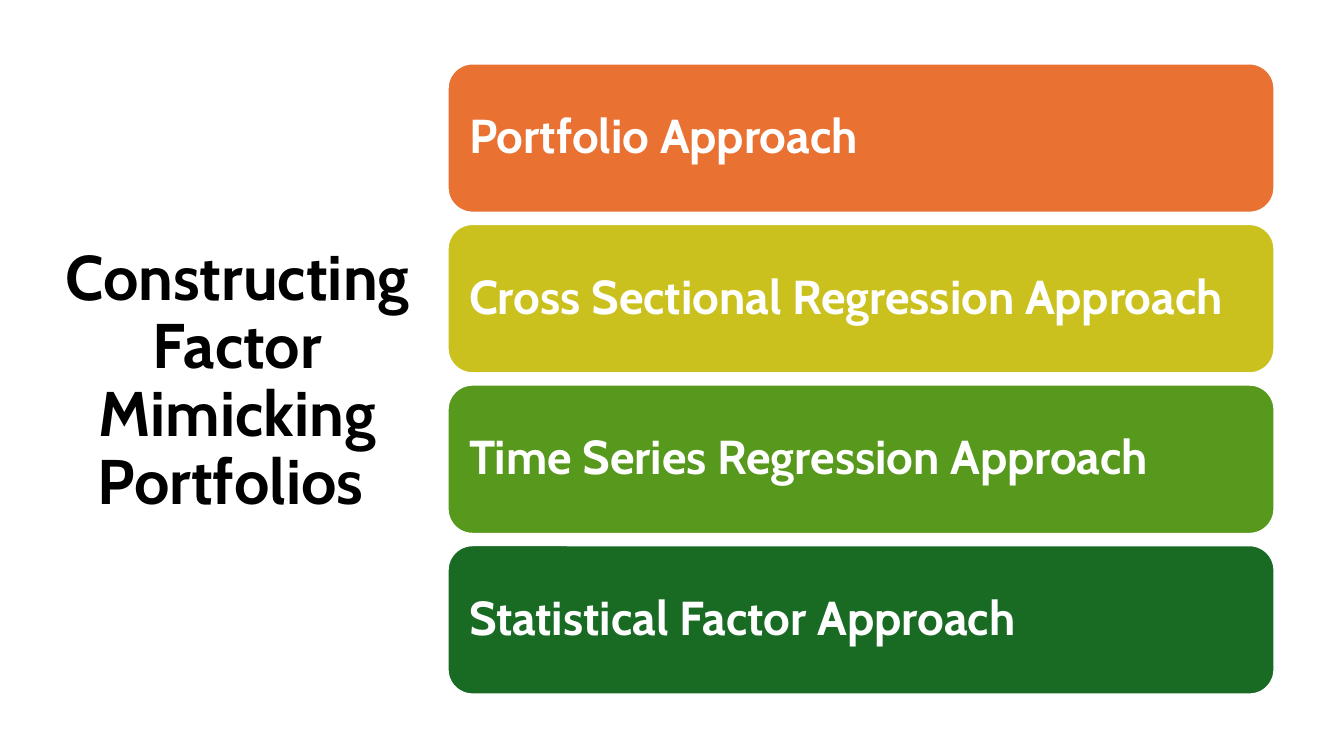
from dataclasses import dataclass

from pptx import Presentation
from pptx.dml.color import RGBColor
from pptx.enum.shapes import MSO_SHAPE
from pptx.enum.text import MSO_ANCHOR, PP_ALIGN
from pptx.slide import Slide
from pptx.text.text import TextFrame
from pptx.util import Inches, Pt

BLACK = RGBColor(0x00, 0x00, 0x00)
WHITE = RGBColor(0xFF, 0xFF, 0xFF)
ORANGE = RGBColor(0xE9, 0x71, 0x32)
YELLOW = RGBColor(0xCB, 0xC1, 0x1E)
LIGHT_GREEN = RGBColor(0x56, 0x99, 0x1D)
DARK_GREEN = RGBColor(0x19, 0x6B, 0x24)

FONT = "Cabin"
TOP = 0.63
BAR_LEFT, BAR_WIDTH, BAR_HEIGHT = 4.44, 8.2, 1.48
BAR_PITCH = 1.593
BAR_INSET = 0.21


@dataclass(frozen=True)
class Approach:
    label: str
    color: RGBColor


APPROACHES = [
    Approach("Portfolio Approach", ORANGE),
    Approach("Cross Sectional Regression Approach", YELLOW),
    Approach("Time Series Regression Approach", LIGHT_GREEN),
    Approach("Statistical Factor Approach", DARK_GREEN),
]


def write_text(tf: TextFrame, text: str, size: float, color: RGBColor,
               align: PP_ALIGN) -> None:
    tf.word_wrap = True
    tf.vertical_anchor = MSO_ANCHOR.MIDDLE
    p = tf.paragraphs[0]
    p.alignment = align
    p.line_spacing = 0.9
    r = p.add_run()
    r.text = text
    r.font.name = FONT
    r.font.size = Pt(size)
    r.font.bold = True
    r.font.color.rgb = color


def add_title(s: Slide, text: str) -> None:
    sp = s.shapes.add_textbox(Inches(0.47), Inches(TOP), Inches(3.77), Inches(6.33))
    write_text(sp.text_frame, text, 45, BLACK, PP_ALIGN.CENTER)


def add_bar(s: Slide, approach: Approach, top: float) -> None:
    sp = s.shapes.add_shape(MSO_SHAPE.ROUNDED_RECTANGLE, Inches(BAR_LEFT), Inches(top),
                            Inches(BAR_WIDTH), Inches(BAR_HEIGHT))
    sp.shadow.inherit = False
    sp.fill.solid()
    sp.fill.fore_color.rgb = approach.color
    sp.line.color.rgb = WHITE
    sp.line.width = Pt(1.5)
    tf = sp.text_frame
    # The rounded corners add about 0.07 inches to the text inset
    tf.margin_left = tf.margin_right = Inches(BAR_INSET - 0.07)
    tf.margin_top = tf.margin_bottom = Inches(BAR_INSET - 0.07)
    write_text(tf, approach.label, 34, WHITE, PP_ALIGN.LEFT)


def main() -> None:
    prs = Presentation()
    prs.slide_width, prs.slide_height = Inches(13.33), Inches(7.5)
    s = prs.slides.add_slide(prs.slide_layouts[6])

    # Title on the left
    add_title(s, "Constructing Factor Mimicking Portfolios ")

    # Stack of approaches on the right
    for i, approach in enumerate(APPROACHES):
        add_bar(s, approach, TOP + i * BAR_PITCH)

    prs.save("out.pptx")


if __name__ == "__main__":
    main()
